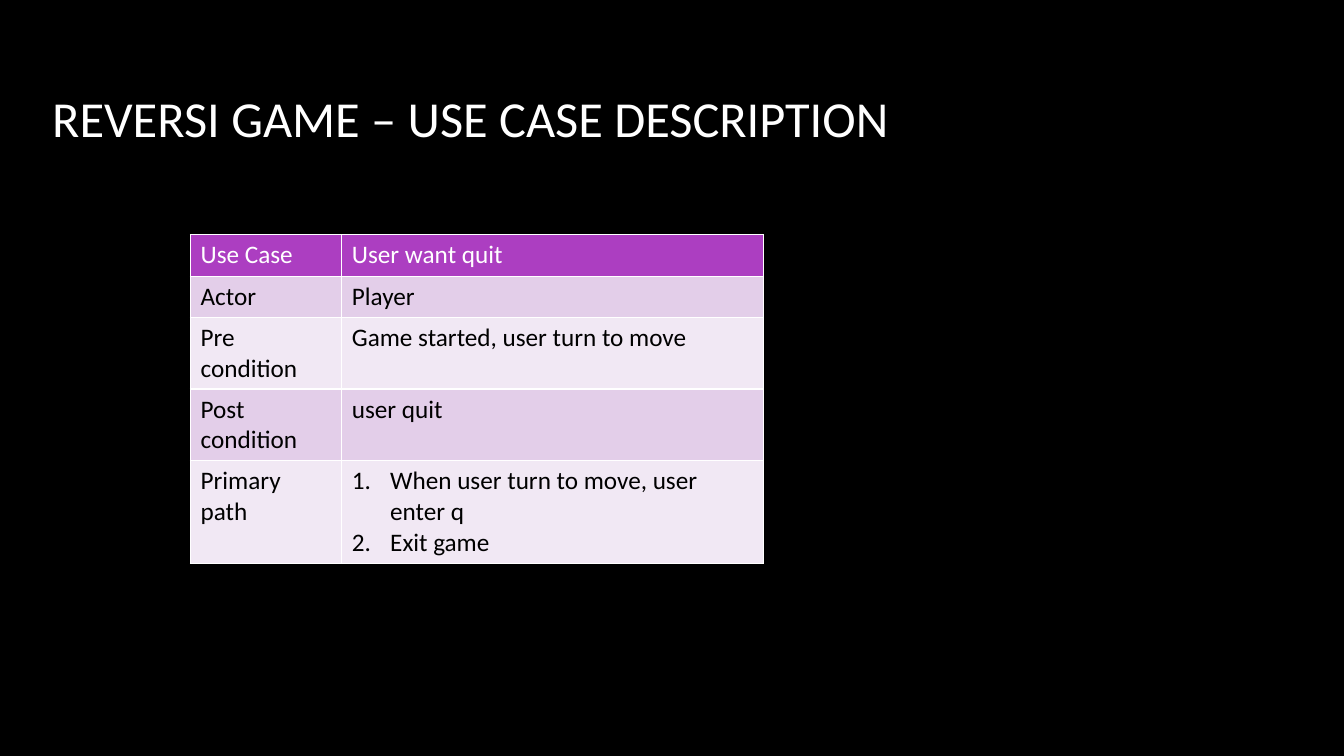
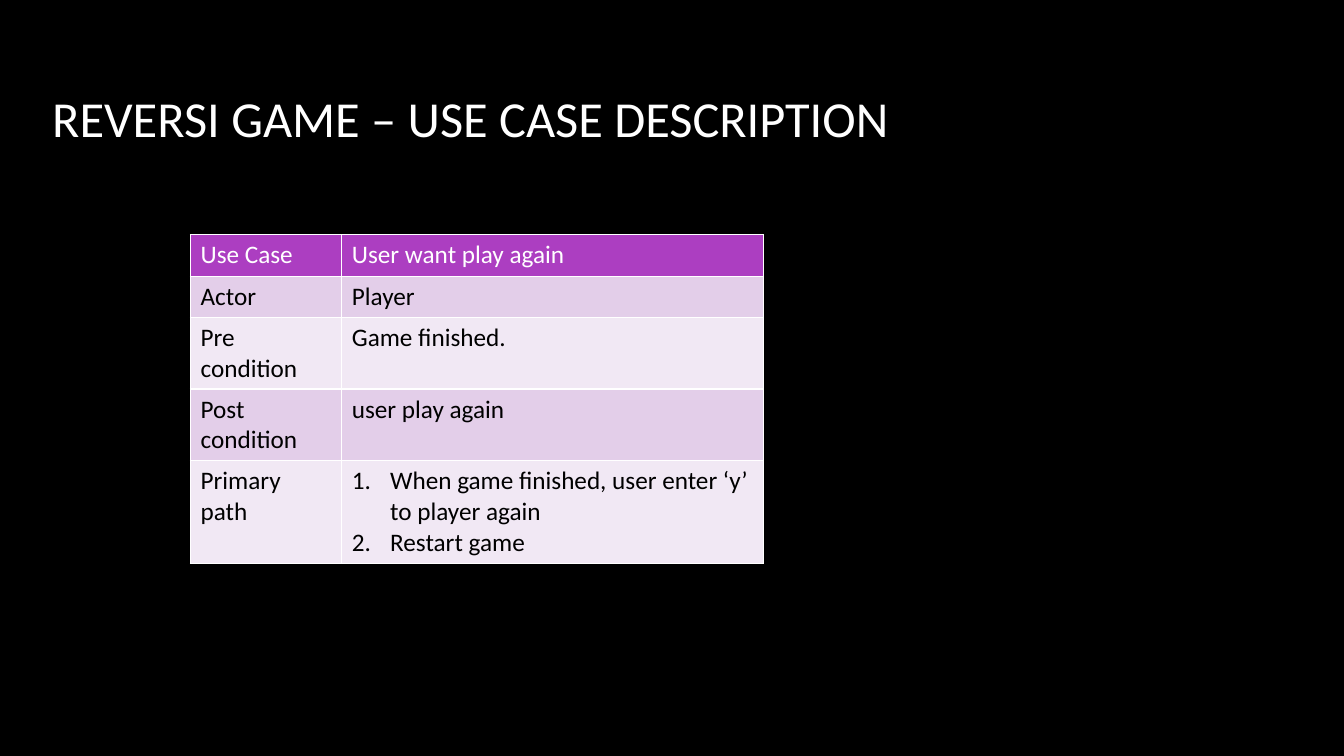
from lxml import etree
from pptx import Presentation
from pptx.dml.color import RGBColor
from pptx.enum.text import MSO_ANCHOR
from pptx.oxml.ns import qn
from pptx.util import Inches, Pt

MIDDLE = MSO_ANCHOR.MIDDLE

# Shared style
FONT = "Calibri"
BLACK, WHITE = "000000", "FFFFFF"
HEADER_FILL = "AC3EC1"
BAND_FILLS = ("F1E8F4", "E3CEE9")  # even rows, odd rows
TITLE = "REVERSI GAME – USE CASE DESCRIPTION"

# Table layout and content
COL_WIDTHS = (1.5, 4.18)
ROW_HEIGHTS = (0.41, 0.41, 0.71, 0.71, 1.02)
LABELS = ("Use Case", "Actor", "Pre condition", "Post condition", "Primary path")
USE_CASES = (
    ("User want quit", "Player", "Game started, user turn to move", "user quit",
     ("When user turn to move, user enter q", "Exit game")),
    ("User want play again", "Player", "Game finished.", "user play again",
     ("When game finished, user enter ‘y’ to player again", "Restart game")),
)


def rgb(color):
    return RGBColor.from_string(color)


def add_run(p, text, size, color):
    r = p.add_run()
    r.text = text
    r.font.name = FONT
    r.font.size = Pt(size)
    r.font.bold = False
    r.font.color.rgb = rgb(color)


def number_paragraph(p):
    pPr = p._p.get_or_add_pPr()
    pPr.set("marL", str(Inches(0.38)))
    pPr.set("indent", str(-Inches(0.38)))
    etree.SubElement(pPr, qn("a:buFont"), typeface="+mj-lt")
    etree.SubElement(pPr, qn("a:buAutoNum"), type="arabicPeriod")


def set_borders(cell, color, width):
    tcPr = cell._tc.get_or_add_tcPr()
    for side in ("lnL", "lnR", "lnT", "lnB"):
        ln = etree.SubElement(tcPr, qn(f"a:{side}"), w=str(Pt(width)))
        fill = etree.SubElement(ln, qn("a:solidFill"))
        etree.SubElement(fill, qn("a:srgbClr"), val=color)


def fill_cell(cell, content, fill, color):
    """Write a plain string, or a tuple of steps as a numbered list."""
    set_borders(cell, WHITE, 1)
    cell.fill.solid()
    cell.fill.fore_color.rgb = rgb(fill)
    tf = cell.text_frame
    numbered = isinstance(content, tuple)
    for i, text in enumerate(content if numbered else (content,)):
        p = tf.add_paragraph() if i else tf.paragraphs[0]
        if numbered:
            number_paragraph(p)
        add_run(p, text, 18, color)


def add_title(s, text):
    sp = s.shapes.add_textbox(Inches(0.42), Inches(0.37), Inches(10.06), Inches(1.59))
    tf = sp.text_frame
    tf.word_wrap = True
    tf.vertical_anchor = MIDDLE
    add_run(tf.paragraphs[0], text, 36, WHITE)


def add_use_case_table(s, values):
    table = s.shapes.add_table(
        len(LABELS), len(COL_WIDTHS), Inches(1.89), Inches(2.33),
        Inches(sum(COL_WIDTHS)), Inches(sum(ROW_HEIGHTS))).table
    for column, width in zip(table.columns, COL_WIDTHS):
        column.width = Inches(width)
    for i, row in enumerate(zip(LABELS, values)):
        table.rows[i].height = Inches(ROW_HEIGHTS[i])
        fill = BAND_FILLS[i % 2] if i else HEADER_FILL
        color = BLACK if i else WHITE
        for j, content in enumerate(row):
            fill_cell(table.cell(i, j), content, fill, color)


def add_slide(prs):
    s = prs.slides.add_slide(prs.slide_layouts[6])
    s.background.fill.solid()
    s.background.fill.fore_color.rgb = rgb(BLACK)
    return s


def main():
    prs = Presentation()
    prs.slide_width, prs.slide_height = Inches(13.33), Inches(7.5)
    for values in USE_CASES:
        s = add_slide(prs)
        add_title(s, TITLE)
        add_use_case_table(s, values)
    prs.save("out.pptx")


if __name__ == "__main__":
    main()
